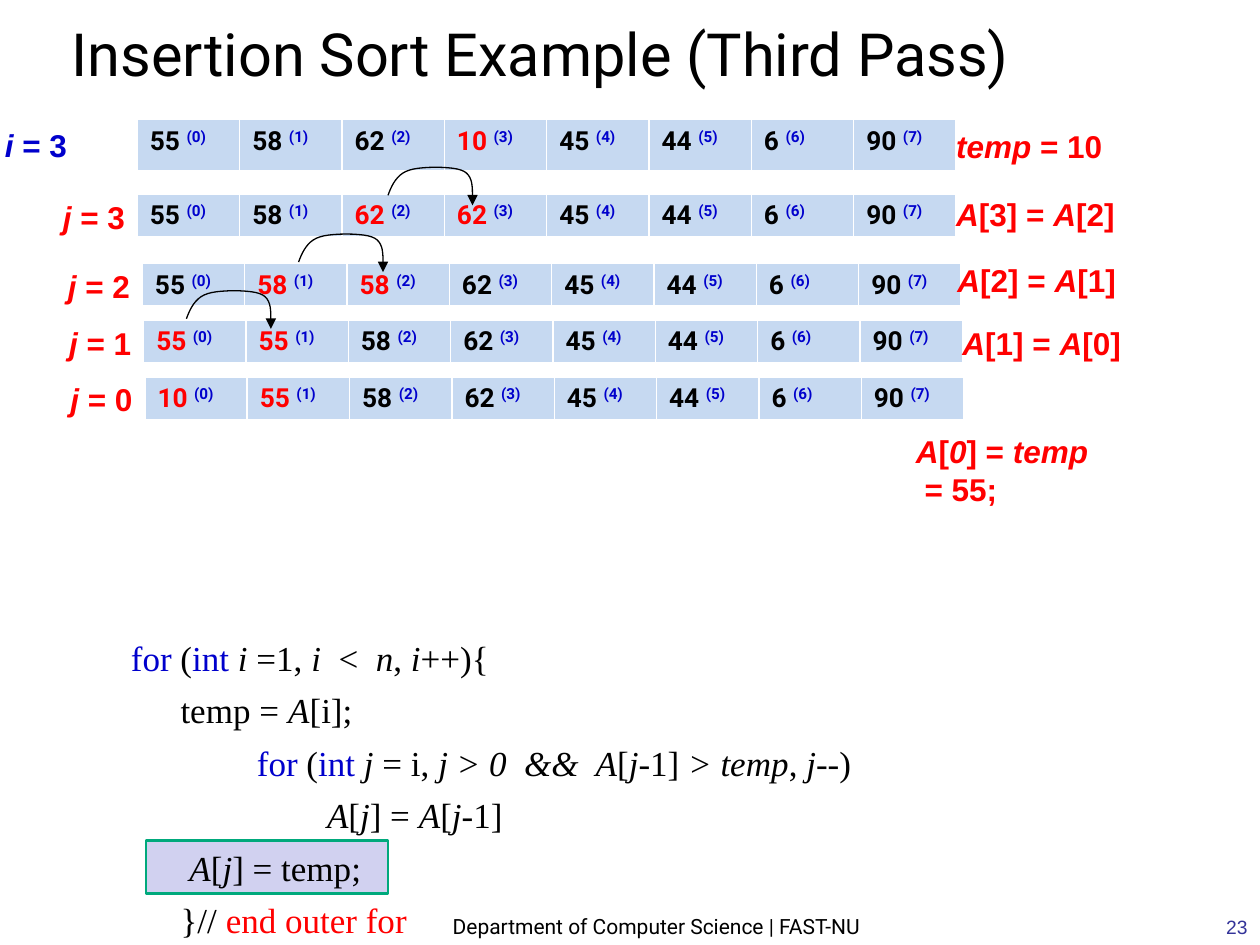
from lxml import etree
from pptx import Presentation
from pptx import util as u
from pptx.dml.color import RGBColor
from pptx.enum import shapes, text
from pptx.oxml.ns import qn

BLACK = RGBColor(0x00, 0x00, 0x00)
WHITE = RGBColor(0xFF, 0xFF, 0xFF)
RED = RGBColor(0xFF, 0x00, 0x00)
BLUE = RGBColor(0x00, 0x00, 0xCC)
NAVY = RGBColor(0x33, 0x33, 0x99)
CELL_BLUE = RGBColor(0xC6, 0xD9, 0xF1)
LILAC = RGBColor(0xD1, 0xD1, 0xF0)
GREEN = RGBColor(0x00, 0xA9, 0x7C)

COLUMN_WIDTH = 6.5 / 8
CELL_BORDERS = {"a:lnL": 1, "a:lnR": 1, "a:lnT": 1, "a:lnB": 3}

# Table left, top, row height, array, positions in red
ARRAYS = [
    (1.09, 0.95, 0.42, (55, 58, 62, 10, 45, 44, 6, 90), (3,)),
    (1.09, 1.54, 0.35, (55, 58, 62, 62, 45, 44, 6, 90), (2, 3)),
    (1.13, 2.09, 0.35, (55, 58, 58, 62, 45, 44, 6, 90), (1, 2)),
    (1.14, 2.54, 0.35, (55, 55, 58, 62, 45, 44, 6, 90), (0, 1)),
    (1.15, 2.99, 0.35, (10, 55, 58, 62, 45, 44, 6, 90), (0, 1)),
]

# Left, top, width, height, colour, lines ("|" switches italic and upright)
LABELS = [
    (-0.06, 0.95, 0.69, 0.4, BLUE, ["i| = 3"]),
    (7.49, 0.96, 1.36, 0.4, RED, ["temp| = 10"]),
    (7.49, 1.5, 1.46, 0.4, RED, ["A|[3] = |A|[2]"]),
    (7.5, 2.02, 1.46, 0.4, RED, ["A|[2] = |A|[1]"]),
    (7.54, 2.52, 1.46, 0.4, RED, ["A|[1] = |A|[0]"]),
    (7.17, 3.38, 1.57, 0.7, RED, ["A|[|0|] = |temp", "| = 55;"]),
]

# Left foot of each arc that moves a value one place to the right
MOVES = [(3.08, 1.55), (2.37, 2.08), (1.48, 2.53)]
ARC_WIDTH = 0.67
ARC_CURVES = [
    ((0, 0), (0.03, -0.08), (0.07, -0.17), (0.17, -0.2)),
    ((0.17, -0.2), (0.26, -0.23), (0.5, -0.23), (0.58, -0.2)),
    ((0.58, -0.2), (0.67, -0.17), (0.67, -0.08), (0.67, 0)),
]

# Code runs: text, then "k" keyword, "i" italic, "c" comment or "" plain
CODE = [
    [("\tfor", "k"), (" (", ""), ("int ", "k"), ("i ", "i"), ("=1, ", ""),
     ("i  ", "i"), ("<  ", ""), ("n", "i"), (", ", ""), ("i", "i"), ("++){", "")],
    [("          temp = ", ""), ("A", "i"), ("[i];", "")],
    [("\t\t", ""), ("for", "k"), (" (", ""), ("int ", "k"), ("j ", "i"),
     ("= i, ", ""), ("j > 0  &&  A", "i"), ("[", ""), ("j", "i"), ("-1]", ""),
     (" > temp", "i"), (", ", ""), ("j", "i"), ("--)", "")],
    [("\t\t        ", ""), ("A", "i"), ("[", ""), ("j", "i"), ("] = ", ""),
     ("A", "i"), ("[", ""), ("j", "i"), ("-1]", "")],
    [("           ", ""), ("A", "i"), ("[", ""), ("j", "i"), ("] = temp;", "")],
    [("          }// ", ""), ("end outer for", "c")],
]
CODE_COLOURS = {"k": BLUE, "c": RED}


def add_run(paragraph, words, font, size, colour, bold=False, italic=False):
    run = paragraph.add_run()
    run.text = words
    run.font.name = font
    run.font.size = u.Pt(size)
    run.font.color.rgb = colour
    run.font.bold = bold
    run.font.italic = italic
    return run


def add_text_box(slide, left, top, width, height, wrap=True,
                 anchor=text.MSO_ANCHOR.TOP):
    box = slide.shapes.add_textbox(*map(u.Inches, (left, top, width, height)))
    box.text_frame.word_wrap = wrap
    box.text_frame.vertical_anchor = anchor
    return box.text_frame


def paragraphs_for(frame, lines):
    """Pair each line with its own paragraph of the frame."""
    for index, line in enumerate(lines):
        yield (frame.add_paragraph() if index else frame.paragraphs[0]), line


def add_title(slide, words):
    title = slide.shapes.title
    title.left, title.top = u.Inches(0.47), u.Inches(0.02)
    title.width, title.height = u.Inches(7.92), u.Inches(0.73)
    frame = title.text_frame
    frame.auto_size = text.MSO_AUTO_SIZE.NONE
    frame.vertical_anchor = text.MSO_ANCHOR.BOTTOM
    paragraph = frame.paragraphs[0]
    paragraph.alignment = text.PP_ALIGN.LEFT
    add_run(paragraph, words, "Roboto", 34, BLACK)


def add_cell_borders(cell):
    properties = cell._tc.get_or_add_tcPr()
    for tag, points in CELL_BORDERS.items():
        border = etree.SubElement(properties, qn(tag), w=str(u.Pt(points)))
        fill = etree.SubElement(border, qn("a:solidFill"))
        etree.SubElement(fill, qn("a:srgbClr"), val=str(WHITE))


def add_array(slide, left, top, height, values, red_positions):
    table = slide.shapes.add_table(
        1, len(values), u.Inches(left), u.Inches(top),
        u.Inches(COLUMN_WIDTH * len(values)), u.Inches(height)).table
    table.first_row = table.horz_banding = False
    for position, value in enumerate(values):
        table.columns[position].width = u.Inches(COLUMN_WIDTH)
        cell = table.cell(0, position)
        add_cell_borders(cell)
        cell.fill.solid()
        cell.fill.fore_color.rgb = CELL_BLUE
        paragraph = cell.text_frame.paragraphs[0]
        colour = RED if position in red_positions else BLACK
        add_run(paragraph, f"{value} ", "Roboto", 15, colour, bold=True)
        index = add_run(paragraph, f"({position})", "Roboto", 15, BLUE, bold=True)
        index._r.get_or_add_rPr().set("baseline", "30000")


def add_label(slide, left, top, width, height, colour, lines):
    frame = add_text_box(slide, left, top, width, height, wrap=False)
    for paragraph, line in paragraphs_for(frame, lines):
        for index, part in enumerate(line.split("|")):
            if part:
                add_run(paragraph, part, "Arial", 18, colour, True, index % 2 == 0)


def bezier_points(curve, steps=10):
    for step in range(1, steps + 1):
        t = step / steps
        weights = ((1 - t) ** 3, 3 * t * (1 - t) ** 2, 3 * t * t * (1 - t), t ** 3)
        yield tuple(sum(w * point[axis] for w, point in zip(weights, curve))
                    for axis in (0, 1))


def add_move_arrow(slide, left, foot):
    # Arc
    builder = slide.shapes.build_freeform(u.Inches(left), u.Inches(foot))
    builder.add_line_segments(
        [(u.Inches(left + x), u.Inches(foot + y))
         for curve in ARC_CURVES for x, y in bezier_points(curve)], close=False)
    arc = builder.convert_to_shape()
    arc.shadow.inherit = False
    arc.fill.background()
    # Arrowhead
    tip_x = u.Inches(left + ARC_WIDTH)
    arrow = slide.shapes.add_connector(
        shapes.MSO_CONNECTOR.STRAIGHT, tip_x, u.Inches(foot),
        tip_x, u.Inches(foot + 0.08))
    for shape in (arc, arrow):
        shape.line.color.rgb = BLACK
        shape.line.width = u.Pt(0.75)
    etree.SubElement(arrow.line._get_or_add_ln(), qn("a:tailEnd"), type="triangle")
    etree.SubElement(arrow._element.spPr, qn("a:effectLst"))


def add_highlight(slide):
    box = slide.shapes.add_shape(
        shapes.MSO_SHAPE.RECTANGLE, *map(u.Inches, (1.16, 6.67, 1.92, 0.42)))
    box.shadow.inherit = False
    box.fill.solid()
    box.fill.fore_color.rgb = LILAC
    box.line.color.rgb = GREEN
    box.line.width = u.Pt(1.5)


def add_code(slide):
    frame = add_text_box(slide, 0.64, 5, 7.92, 2.33)
    for paragraph, line in paragraphs_for(frame, CODE):
        properties = paragraph._p.get_or_add_pPr()
        properties.set("marL", str(u.Inches(0.3)))
        properties.set("indent", str(u.Inches(-0.3)))
        properties.set("defTabSz", str(u.Inches(1)))
        if line is not CODE[0]:
            paragraph.space_before = u.Pt(6)
        for words, style in line:
            add_run(paragraph, words, "Times New Roman", 20,
                    CODE_COLOURS.get(style, BLACK), italic=style == "i")


def add_footer(slide, place, words, font, size, colour, alignment):
    frame = add_text_box(slide, *place, anchor=text.MSO_ANCHOR.BOTTOM)
    frame.paragraphs[0].alignment = alignment
    add_run(frame.paragraphs[0], words, font, size, colour)


def main():
    presentation = Presentation()
    presentation.slide_width, presentation.slide_height = u.Inches(10), u.Inches(7.5)
    slide = presentation.slides.add_slide(presentation.slide_layouts[5])
    add_title(slide, "Insertion Sort Example (Third Pass)")

    # Arrays, with the value of j beside each one after the first
    for array in ARRAYS:
        add_array(slide, *array)
    for j, (left, top, *_) in zip((3, 2, 1, 0), ARRAYS[1:]):
        add_label(slide, left - 0.69, top - 0.02, 0.69, 0.4, RED, [f"j| = {j}"])
    for label in LABELS:
        add_label(slide, *label)
    for move in MOVES:
        add_move_arrow(slide, *move)

    # Algorithm
    add_highlight(slide)
    add_code(slide)

    # Footer and slide number
    add_footer(slide, (2.75, 7.08, 4.92, 0.42),
               "Department of Computer Science | FAST-NU",
               "Roboto", 12, BLACK, text.PP_ALIGN.CENTER)
    add_footer(slide, (7.92, 7, 2.08, 0.5), "23",
               "Arial", 11, NAVY, text.PP_ALIGN.RIGHT)
    presentation.save("out.pptx")


if __name__ == "__main__":
    main()
